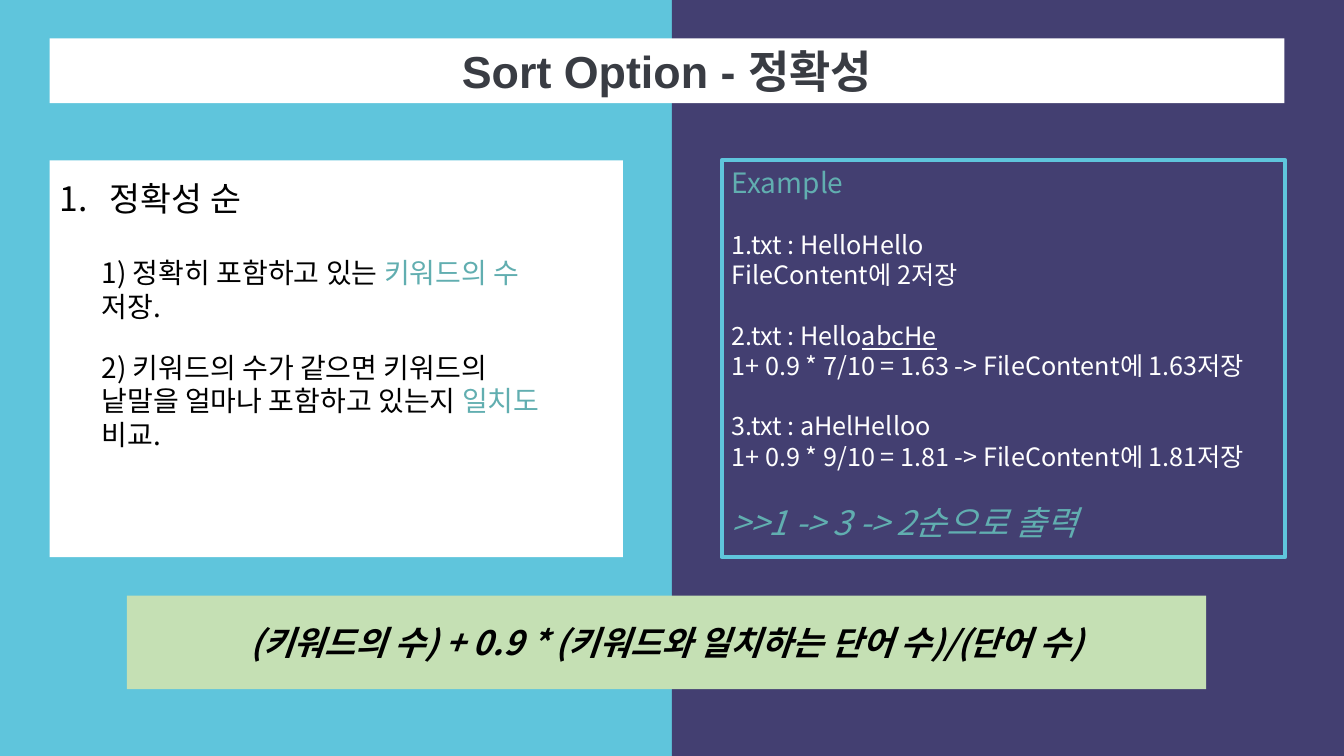
from pptx import Presentation
from pptx.dml.color import RGBColor
from pptx.enum.shapes import MSO_SHAPE
from pptx.enum.text import MSO_ANCHOR, MSO_AUTO_SIZE, PP_ALIGN
from pptx.oxml.ns import qn
from pptx.util import Cm, Pt
from lxml import etree

RECTANGLE = MSO_SHAPE.RECTANGLE
TOP, MIDDLE = MSO_ANCHOR.TOP, MSO_ANCHOR.MIDDLE
LEFT, CENTER = PP_ALIGN.LEFT, PP_ALIGN.CENTER
NO_AUTOFIT = MSO_AUTO_SIZE.NONE

COLORS = {
    "sky": "5FC5DC",
    "indigo": "433F71",
    "white": "FFFFFF",
    "black": "000000",
    "charcoal": "393C43",
    "teal": "61AEB0",
    "green": "C5E0B4",
}
KOREAN_FONT = "Noto Sans CJK KR"
SLIDE_WIDTH, SLIDE_HEIGHT = 33.87, 19.05
HALF = SLIDE_WIDTH / 2
MARGIN = 1.25
CARD_TOP, CARD_HEIGHT = 4.04, 10.0
GAP = 21.6


def color(name):
    return RGBColor.from_string(COLORS[name])


def place(box, left, top, width, height):
    box.left, box.top = Cm(left), Cm(top)
    box.width, box.height = Cm(width), Cm(height)


def prepare_frame(box, anchor=TOP):
    frame = box.text_frame
    frame.word_wrap = True
    frame.auto_size = NO_AUTOFIT
    frame.vertical_anchor = anchor
    frame.margin_left = frame.margin_right = Cm(0.25)
    frame.margin_top = frame.margin_bottom = Cm(0.13)
    return frame


def add_panel(slide, area, fill=None, line=None):
    panel = slide.shapes.add_shape(RECTANGLE, *map(Cm, area))
    panel.shadow.inherit = False
    if fill:
        panel.fill.solid()
        panel.fill.fore_color.rgb = color(fill)
    else:
        panel.fill.background()
    if line:
        panel.line.color.rgb = color(line)
        panel.line.width = Pt(3)
    else:
        panel.line.fill.background()
    return panel


def write(paragraph, text, size=18, ink="black", font=KOREAN_FONT,
          bold=False, italic=False, underline=False):
    run = paragraph.add_run()
    run.text = text
    run.font.size = Pt(size)
    run.font.name = font
    run.font.bold = bold
    run.font.italic = italic
    run.font.underline = underline
    run.font.color.rgb = color(ink)
    if font == KOREAN_FONT:
        latin = run._r.rPr.find(qn("a:latin"))
        east_asian = etree.Element(qn("a:ea"), typeface=font)
        latin.addnext(east_asian)


def number_paragraph(paragraph):
    properties = paragraph._p.get_or_add_pPr()
    properties.set("marL", str(Cm(1.27)))
    properties.set("indent", str(Cm(-1.27)))
    etree.SubElement(properties, qn("a:buFont"), typeface=KOREAN_FONT)
    etree.SubElement(properties, qn("a:buAutoNum"), type="arabicPeriod")


def add_title(slide):
    title = slide.shapes.title
    slide.shapes._spTree.append(title._element)
    place(title, MARGIN, 0.97, 31.12, 1.63)
    title.fill.solid()
    title.fill.fore_color.rgb = color("white")
    heading = prepare_frame(title, MIDDLE).paragraphs[0]
    heading.alignment = CENTER
    write(heading, "Sort Option - 정확성", size=32, ink="charcoal",
          font="Arial", bold=True)


def add_criteria(slide):
    card = slide.placeholders[1]
    slide.shapes._spTree.append(card._element)
    place(card, MARGIN, CARD_TOP, 14.45, CARD_HEIGHT)
    card.fill.solid()
    card.fill.fore_color.rgb = color("white")
    frame = prepare_frame(card)
    frame.margin_top = Cm(0.43)
    criterion = frame.paragraphs[0]
    number_paragraph(criterion)
    criterion.alignment = LEFT
    criterion.space_before = Pt(0)
    write(criterion, "정확성 순", size=24)


def add_step(slide, area, lead, keyword, ending):
    step = slide.shapes.add_textbox(*map(Cm, area))
    sentence = prepare_frame(step).paragraphs[0]
    write(sentence, lead, size=20)
    write(sentence, keyword, size=20, ink="teal")
    write(sentence, ending, size=20)


def add_example(slide):
    example = add_panel(slide, (18.19, CARD_TOP, 14.2, CARD_HEIGHT), line="sky")
    frame = prepare_frame(example)
    heading = frame.paragraphs[0]
    heading.alignment = LEFT
    write(heading, "Example", size=20, ink="teal")
    cases = [
        ("1.txt : HelloHello", "", "FileContent에 2저장"),
        ("2.txt : Hello", "abcHe", "1+ 0.9 * 7/10 = 1.63 -> FileContent에 1.63저장"),
        ("3.txt : aHelHelloo", "", "1+ 0.9 * 9/10 = 1.81 -> FileContent에 1.81저장"),
    ]
    for file_text, partial_match, score in cases:
        file_line = frame.add_paragraph()
        file_line.alignment = LEFT
        file_line.space_before = Pt(GAP)
        write(file_line, file_text, ink="white")
        if partial_match:
            write(file_line, partial_match, ink="white", underline=True)
        score_line = frame.add_paragraph()
        score_line.alignment = LEFT
        write(score_line, score, ink="white")
    result = frame.add_paragraph()
    result.alignment = LEFT
    result.space_before = Pt(GAP)
    write(result, ">>1 -> 3 -> 2순으로 출력", size=24, ink="teal", italic=True)


def add_formula(slide):
    banner = add_panel(slide, (3.2, 15.01, 27.2, 2.36), fill="green")
    formula = prepare_frame(banner, MIDDLE).paragraphs[0]
    formula.alignment = CENTER
    write(formula, "(키워드의 수) + 0.9 * (키워드와 일치하는 단어 수)/(단어 수)",
          size=24, bold=True, italic=True)


def main():
    deck = Presentation()
    deck.slide_width, deck.slide_height = Cm(SLIDE_WIDTH), Cm(SLIDE_HEIGHT)
    slide = deck.slides.add_slide(deck.slide_layouts[1])
    for index, fill in enumerate(("sky", "indigo")):
        add_panel(slide, (index * HALF, 0, HALF, SLIDE_HEIGHT), fill=fill)
    add_title(slide)
    add_criteria(slide)
    add_step(slide, (2.31, 8.69, 11.76, 2.82),
             "2) 키워드의 수가 같으면 키워드의 낱말을 얼마나 포함하고 있는지 ",
             "일치도", " 비교.")
    add_step(slide, (2.31, 6.32, 12.17, 1.96),
             "1) 정확히 포함하고 있는 ", "키워드의 수", " 저장.")
    add_example(slide)
    add_formula(slide)
    deck.save("out.pptx")


if __name__ == "__main__":
    main()
